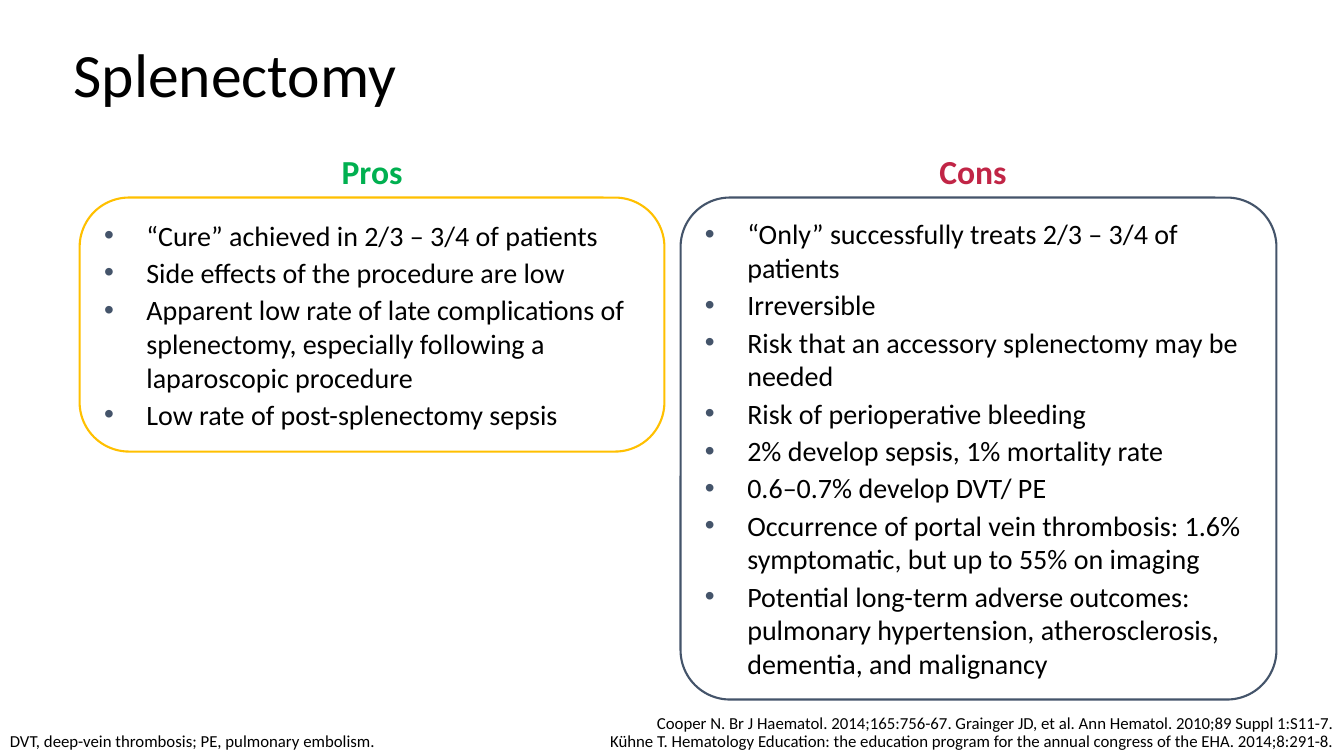
from lxml import etree
from pptx import Presentation
from pptx.dml.color import RGBColor
from pptx.enum import shapes, text
from pptx.oxml import ns
from pptx.util import Inches, Pt

FONT = "Calibri"
HUES = {"black": "000000", "gold": "FFC000", "slate": "44546A",
        "green": "00B050", "red": "C12546"}
RADIUS = 0.49
INDENT = Inches(0.42)

PROS = [
    "“Cure” achieved in 2/3 – 3/4 of patients",
    "Side effects of the procedure are low",
    "Apparent low rate of late complications of splenectomy, "
    "especially following a laparoscopic procedure",
    "Low rate of post-splenectomy sepsis",
]
CONS = [
    "“Only” successfully treats 2/3 – 3/4 of patients",
    "Irreversible",
    "Risk that an accessory splenectomy may be needed",
    "Risk of perioperative bleeding",
    "2% develop sepsis, 1% mortality rate",
    "0.6–0.7% develop DVT/ PE",
    "Occurrence of portal vein thrombosis: 1.6% symptomatic, "
    "but up to 55% on imaging",
    "Potential long-term adverse outcomes: pulmonary hypertension, "
    "atherosclerosis, dementia, and malignancy",
]
NOTE = "DVT, deep-vein thrombosis; PE, pulmonary embolism."
REFS = ("Cooper N. Br J Haematol. 2014;165:756-67. "
        "Grainger JD, et al. Ann Hematol. 2010;89 Suppl 1:S11-7.\v"
        "Kühne T. Hematology Education: the education program "
        "for the annual congress of the EHA. 2014;8:291-8.")


def rgb(hue):
    return RGBColor.from_string(HUES[hue])


def style(para, size, hue="black", bold=False):
    for run in para.runs:
        font = run.font
        font.name, font.size, font.bold = FONT, Pt(size), bold
        font.color.rgb = rgb(hue)


def label(slide, box, words, size, hue="black", bold=False,
          align=text.PP_ALIGN.LEFT, anchor=text.MSO_ANCHOR.TOP, space=1.0):
    """Place one paragraph of text in the given box."""
    frame = slide.shapes.add_textbox(*map(Inches, box)).text_frame
    frame.word_wrap = True
    frame.vertical_anchor = anchor
    para = frame.paragraphs[0]
    para.text = words
    para.alignment = align
    para.line_spacing = space
    style(para, size, hue, bold)


def bullet(para):
    props = para._p.get_or_add_pPr()
    props.set("marL", str(INDENT))
    props.set("indent", str(-INDENT))
    color = etree.SubElement(props, ns.qn("a:buClr"))
    etree.SubElement(color, ns.qn("a:srgbClr"), val=HUES["slate"])
    etree.SubElement(props, ns.qn("a:buFont"), typeface="Arial")
    etree.SubElement(props, ns.qn("a:buChar"), char="•")


def panel(slide, box, head, mid, hue, edge, items):
    """Draw an outlined bullet list with its heading centred on mid."""
    left, top, width, height = box
    label(slide, (mid - 0.89, top - 0.51, 1.78, 0.5), head, 24, hue, True,
          text.PP_ALIGN.CENTER)
    card = slide.shapes.add_shape(shapes.MSO_SHAPE.ROUNDED_RECTANGLE,
                                  *map(Inches, box))
    card.adjustments[0] = RADIUS / min(width, height)
    card.shadow.inherit = False
    card.fill.background()
    card.line.color.rgb = rgb(edge)
    card.line.width = Pt(1.5)
    frame = card.text_frame
    frame.word_wrap = True
    frame.vertical_anchor = text.MSO_ANCHOR.MIDDLE
    frame.text = "\n".join(items)
    for para in frame.paragraphs:
        para.alignment = text.PP_ALIGN.LEFT
        para.space_after = Pt(2.7)
        bullet(para)
        style(para, 20)


def footer(slide, base, split, width):
    """Set the note left and the references right of split, above base."""
    low = text.MSO_ANCHOR.BOTTOM
    label(slide, (0, base - 0.28, split, 0.28), NOTE, 12, anchor=low,
          space=0.9)
    label(slide, (split, base - 0.46, width - split, 0.46), REFS, 12,
          align=text.PP_ALIGN.RIGHT, anchor=low, space=0.9)


def main():
    deck = Presentation()
    deck.slide_width, deck.slide_height = Inches(13.33), Inches(7.5)
    slide = deck.slides.add_slide(deck.slide_layouts[6])
    label(slide, (0.63, 0, 12.07, 1.53), "Splenectomy", 44,
          anchor=text.MSO_ANCHOR.MIDDLE, space=0.9)
    panel(slide, (0.79, 1.96, 5.8, 2.52), "Pros", 3.69, "green", "gold", PROS)
    panel(slide, (6.75, 1.96, 5.91, 4.98), "Cons", 9.65, "red", "slate", CONS)
    footer(slide, 7.5, 5.5, 13.33)
    deck.save("out.pptx")


if __name__ == "__main__":
    main()
